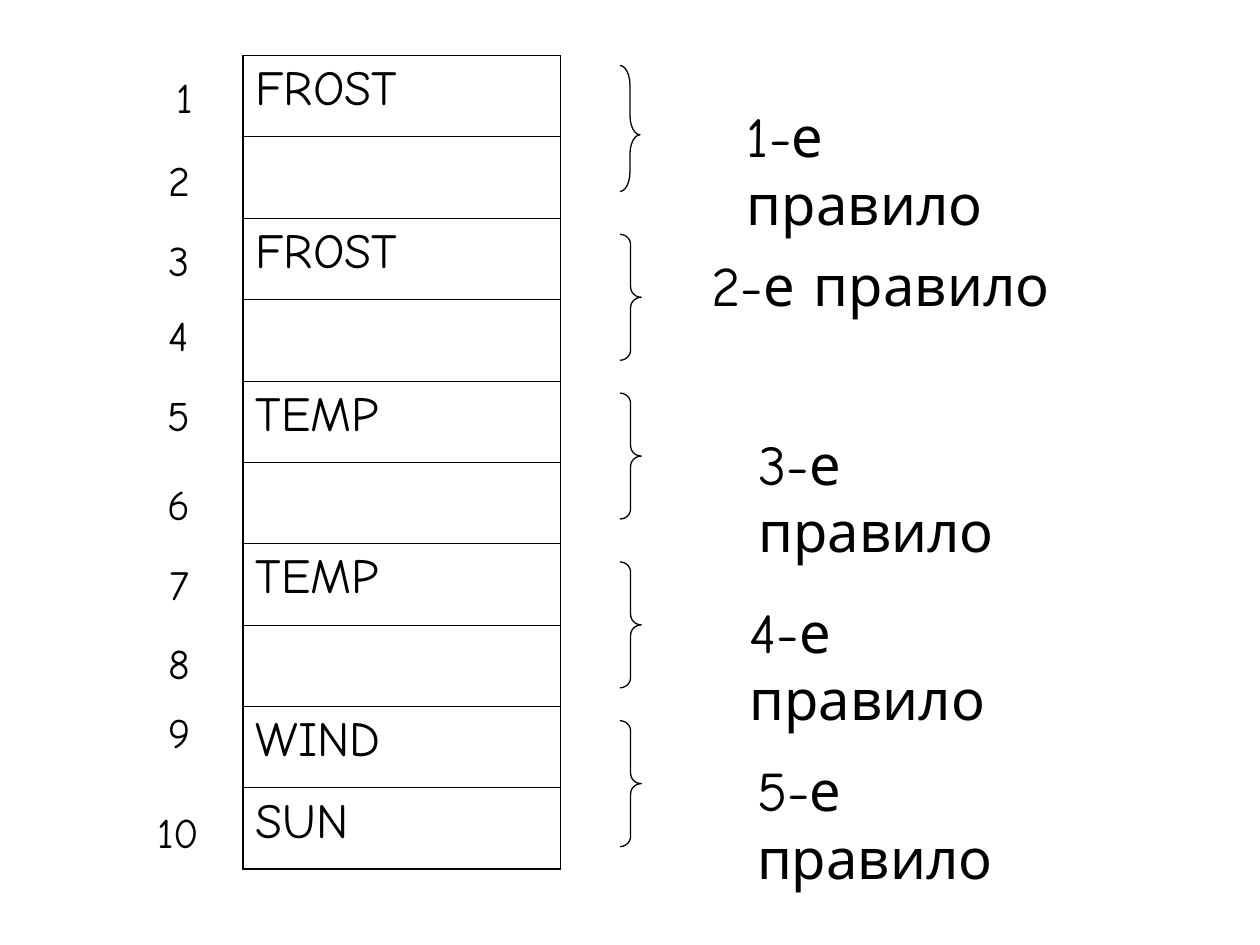
from dataclasses import dataclass
from lxml.etree import SubElement
from pptx import Presentation
from pptx.dml.color import RGBColor
from pptx.enum.shapes import MSO_SHAPE
from pptx.oxml.ns import qn
from pptx.util import Inches, Pt


@dataclass(frozen=True)
class Theme:
    ink: str = "000000"
    face: str = "Comic Neue"
    cell: int = 28
    rule: int = 32
    mark: int = 24
    edge: float = 1.08
    grid: float = 0.45
    brace: float = 0.75


THEME = Theme()
WORDS = ["FROST", "", "FROST", "", "TEMP", "", "TEMP", "", "WIND", "SUN"]
MARKS = [(0.15, 0.08), (0.09, 0.74), (0.09, 1.37), (0.09, 1.97), (0.08, 2.6),
         (0.08, 3.31), (0.1, 3.94), (0.09, 4.57), (0.09, 5.12), (0, 5.91)]
BRACES = [(0, 0.16, 0.97, 0.55), (1.34, 0.17, 0.48, 0.5), (2.6, 0.17, 0.48, 0.5),
          (3.94, 0.17, 0.48, 0.5), (5.2, 0.17, 0.48, 0.5)]
RULES = [(0.28, 0.32, 2.22), (0, 1.5, 2.91), (0.37, 2.92, 2.27),
         (0.3, 4.25, 2.26), (0.36, 5.51, 2.28)]


def apply(item, vals):
    for name, val in vals.items():
        setattr(item, name, val)


def write(frame, text, size):
    frame.text = text
    font = frame.paragraphs[0].font
    apply(font, {"name": THEME.face, "size": Pt(size)})
    font.color.rgb = RGBColor.from_string(THEME.ink)


def label(slide, box, text, size):
    frame = slide.shapes.add_textbox(*map(Inches, box)).text_frame
    frame.word_wrap = True
    write(frame, text, size)


def border(cell, side, width):
    line = SubElement(cell._tc.get_or_add_tcPr(), qn("a:ln" + side), w=str(Pt(width)))
    fill = SubElement(line, qn("a:solidFill"))
    SubElement(fill, qn("a:srgbClr"), val=THEME.ink)


def stack(slide, box):
    table = slide.shapes.add_table(len(WORDS), 1, *map(Inches, box)).table
    apply(table, {"first_row": False, "horz_banding": False})
    last = len(WORDS) - 1
    for row, word in enumerate(WORDS):
        cell = table.cell(row, 0)
        if word:
            write(cell.text_frame, word, THEME.cell)
        widths = {"L": THEME.edge, "R": THEME.edge,
                  "T": THEME.grid if row else THEME.edge,
                  "B": THEME.grid if row < last else THEME.edge}
        for side, width in widths.items():
            border(cell, side, width)
        cell.fill.background()


def marks(slide, left, top):
    for num, (x, y) in enumerate(MARKS, 1):
        width = 0.65 if num > 9 else 0.4
        label(slide, (left + x, top + y, width, 0.5), str(num), THEME.mark)


def braces(slide, left, top):
    for y, width, curve, tip in BRACES:
        box = map(Inches, (left, top + y, width, 1))
        brace = slide.shapes.add_shape(MSO_SHAPE.RIGHT_BRACE, *box)
        brace.adjustments[0] = curve
        brace.adjustments[1] = tip
        brace.shadow.inherit = False
        brace.fill.background()
        brace.line.color.rgb = RGBColor.from_string(THEME.ink)
        brace.line.width = Pt(THEME.brace)


def rules(slide, left, top):
    for num, (x, y, width) in enumerate(RULES, 1):
        box = (left + x, top + y, width, 0.64)
        label(slide, box, f"{num}-е правило", THEME.rule)


def main():
    deck = Presentation()
    apply(deck, {"slide_width": Inches(10), "slide_height": Inches(7.5)})
    slide = deck.slides.add_slide(deck.slide_layouts[6])
    stack(slide, (1.93, 0.44, 2.52, 6.46))
    braces(slide, 4.92, 0.52)
    rules(slide, 5.55, 0.44)
    marks(slide, 1.15, 0.44)
    deck.save("out.pptx")


if __name__ == "__main__":
    main()
